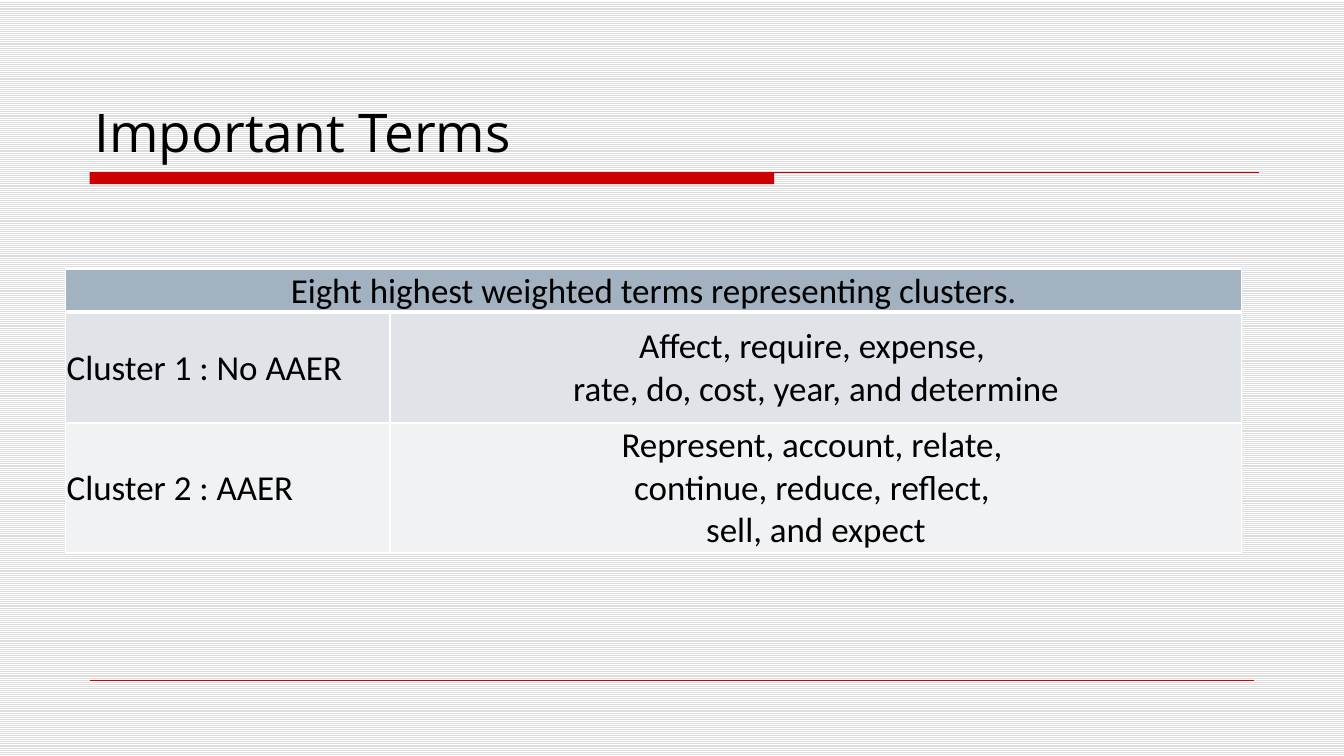
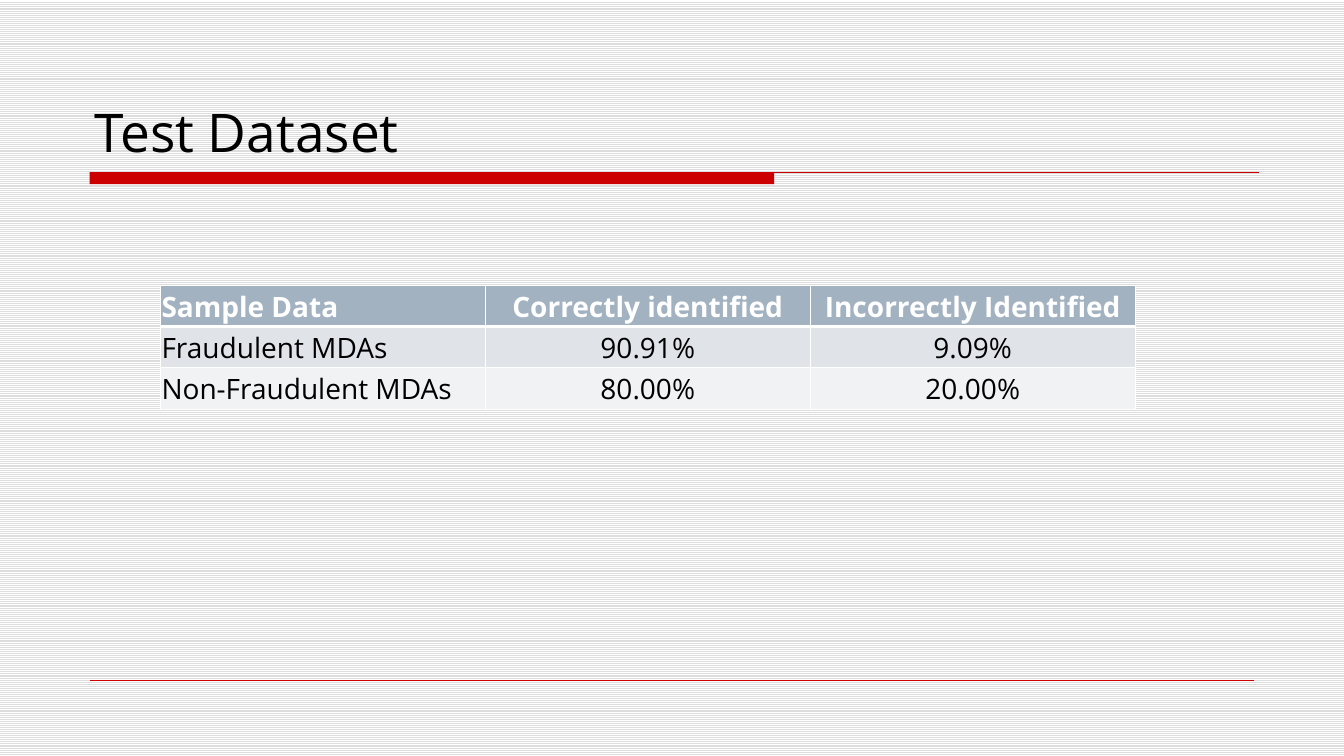
import pptx
import pptx.util
import pptx.dml.color
import pptx.enum.dml
import pptx.enum.shapes
import pptx.enum.text
import pptx.oxml
import lxml.etree
from dataclasses import dataclass

Cm, Pt = pptx.util.Cm, pptx.util.Pt
Rgb = pptx.dml.color.RGBColor.from_string
Mid = pptx.enum.text.MSO_ANCHOR.MIDDLE
Low = pptx.enum.text.MSO_ANCHOR.BOTTOM
Align = pptx.enum.text.PP_ALIGN

# Content: a None cell is covered by the one to its left
slides = [
    dict(title="Important Terms", at=(1.65, 6.78), cols=(8.18, 21.46),
         rows=(1.08, 2.79, 3.26), font="Calibri", size=25,
         head="000000", bold=False, anchor=Low,
         cells=[("Eight highest weighted terms representing clusters.", None),
                ("Cluster 1 : No AAER ",
                 "Affect, require, expense, \nrate, do, cost, year, and determine"),
                ("Cluster 2 : AAER",
                 "Represent, account, relate, \ncontinue, reduce, reflect, \nsell, and expect")]),
    dict(title="Test Dataset", at=(4.04, 7.19), cols=(8.19,) * 3,
         rows=(1.04,) * 3, font="Open Sans", size=20,
         head="FFFFFF", bold=True, anchor=Mid,
         cells=[("Sample Data", "Correctly identified", "Incorrectly Identified"),
                ("Fraudulent MDAs", "90.91%", "9.09%"),
                ("Non-Fraudulent MDAs", "80.00%", "20.00%")]),
]


@dataclass(frozen=True)
class Theme:
    ink: str = "000000"
    paper: str = "FFFFFF"
    stripe: str = "DDDDDD"
    red: str = "CC0000"
    fills: tuple = ("A3B2C1", "E0E4E9", "F0F2F4")
    font: str = "Open Sans"
    title: int = 38
    edge: int = 1
    rule: int = 3
    inset: float = 0.03
    left: float = 2.26


theme = Theme()


def style(para, font, size, color, bold=False):
    para.font.name, para.font.size, para.font.bold = font, Pt(size), bold
    para.font.color.rgb = Rgb(color)


def line(slide, y, end, width):
    rule = slide.shapes.add_connector(
        pptx.enum.shapes.MSO_CONNECTOR.STRAIGHT, Cm(theme.left), Cm(y), Cm(end), Cm(y))
    rule.line.color.rgb = Rgb(theme.red)
    rule.line.width = Pt(width)
    lxml.etree.SubElement(rule._element.spPr, pptx.oxml.ns.qn("a:effectLst"))


# Background, title band, footer rule and title
def frame(slide, title):
    fill = slide.background.fill
    fill.patterned()
    fill.pattern = pptx.enum.dml.MSO_PATTERN.LIGHT_HORIZONTAL
    fill.fore_color.rgb, fill.back_color.rgb = Rgb(theme.stripe), Rgb(theme.paper)

    band = slide.shapes.add_shape(pptx.enum.shapes.MSO_SHAPE.RECTANGLE,
                                  Cm(theme.left), Cm(4.34), Cm(17.25), Cm(0.3))
    band.shadow.inherit = False
    band.fill.solid()
    band.fill.fore_color.rgb = Rgb(theme.red)
    band.line.fill.background()
    line(slide, 4.34, 31.72, 0.75)
    line(slide, 17.15, 31.6, 0.25)

    text = slide.shapes.add_textbox(Cm(2.13), Cm(0.84), Cm(29.64), Cm(3.39)).text_frame
    text.word_wrap, text.vertical_anchor = True, Low
    text.text = title
    style(text.paragraphs[0], theme.font, theme.title, theme.ink)


def border(cell, row):
    props = cell._tc.get_or_add_tcPr()
    top = theme.rule if row == 1 else theme.edge
    base = theme.rule if row == 0 else theme.edge
    for side, width in zip("LRTB", (theme.edge, theme.edge, top, base)):
        props.append(pptx.oxml.parse_xml(
            f'<a:ln{side} {pptx.oxml.ns.nsdecls("a")} w="{Pt(width)}"><a:solidFill>'
            f'<a:srgbClr val="{theme.paper}"/></a:solidFill></a:ln{side}>'))


# Table: header row, then rows with a left-aligned label
def grid(slide, data):
    cols, rows = data["cols"], data["rows"]
    table = slide.shapes.add_table(len(rows), len(cols), *map(Cm, data["at"]),
                                   Cm(sum(cols)), Cm(sum(rows))).table
    table.first_row = table.horz_banding = False
    for col, width in zip(table.columns, cols):
        col.width = Cm(width)
    for row, height in zip(table.rows, rows):
        row.height = Cm(height)
    for r, words in enumerate(data["cells"]):
        for c, word in enumerate(words):
            cell = table.cell(r, c)
            border(cell, r)
            cell.fill.solid()
            cell.fill.fore_color.rgb = Rgb(theme.fills[r])
            if word is None:
                table.cell(r, c - 1).merge(cell)
                continue
            cell.margin_left = cell.margin_right = cell.margin_top = Cm(theme.inset)
            cell.margin_bottom = 0
            cell.vertical_anchor = Mid if r else data["anchor"]
            cell.text = word
            label = c == 0 and None not in words
            for para in cell.text_frame.paragraphs:
                para.alignment = Align.LEFT if label else Align.CENTER
                style(para, data["font"], data["size"],
                      theme.ink if r else data["head"], data["bold"] and r == 0)


deck = pptx.Presentation()
deck.slide_width, deck.slide_height = Cm(33.87), Cm(19.05)
for data in slides:
    slide = deck.slides.add_slide(deck.slide_layouts[6])
    frame(slide, data["title"])
    grid(slide, data)
deck.save("out.pptx")
